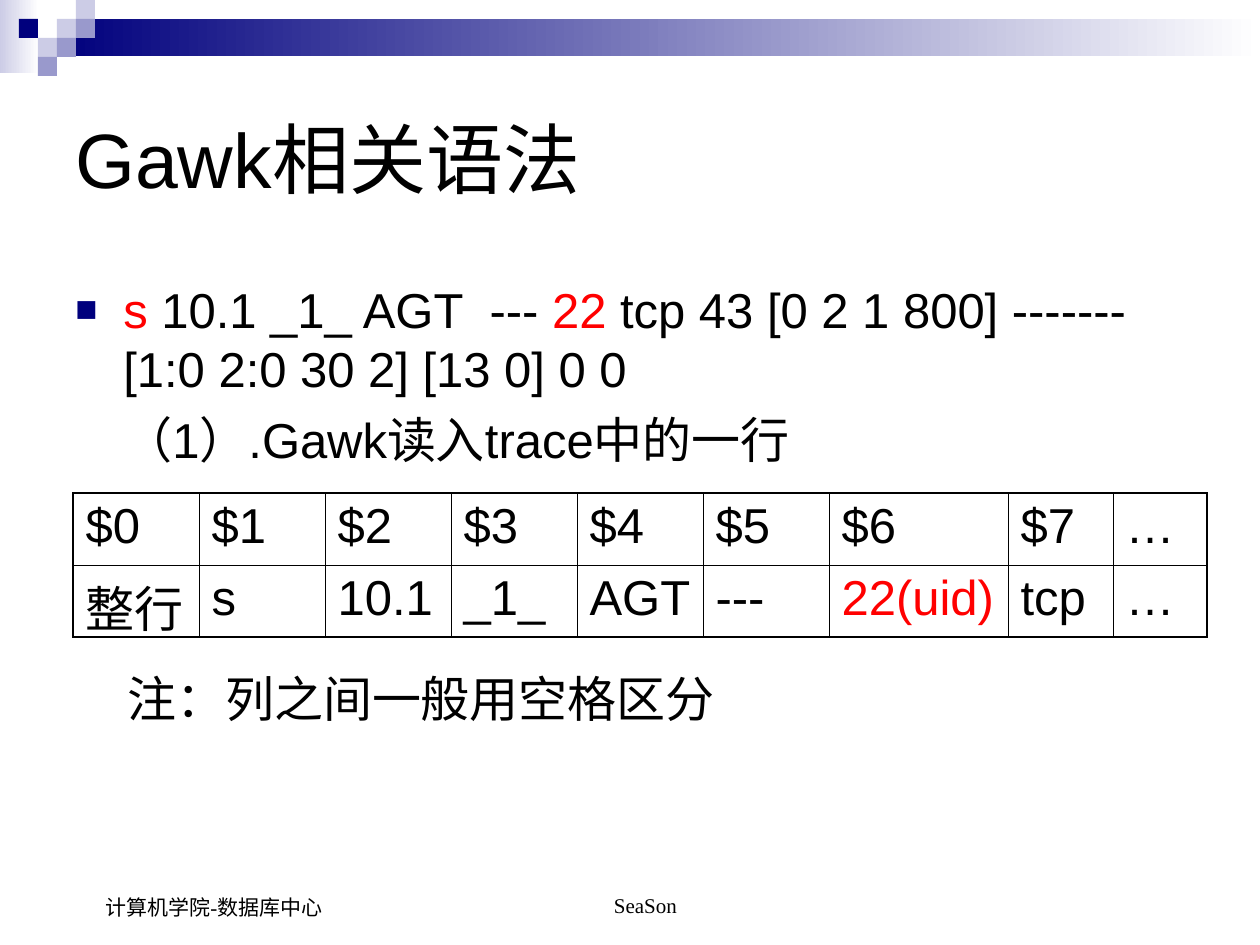
from lxml import etree
from pptx import Presentation
from pptx import util as u
from pptx.dml.color import RGBColor
from pptx.enum import shapes, text
from pptx.oxml.ns import qn

HUES = {"ink": "000000", "red": "FF0000", "navy": "00007D",
        "mid": "9999CC", "pale": "CCCCE6", "white": "FFFFFF"}
SANS, SERIF = "Arial", "Times New Roman"
TILE = 19


def px(n):
    return u.Emu(round(n * 914400 / 126))


def hue(name):
    return RGBColor.from_string(HUES[name])


def add_rect(slide, box, tint, fade=False):
    rect = slide.shapes.add_shape(shapes.MSO_SHAPE.RECTANGLE, *map(px, box))
    rect.shadow.inherit = False
    rect.line.fill.background()
    if fade:
        rect.fill.gradient()
        rect.fill.gradient_angle = 0
        for stop, name in zip(rect.fill.gradient_stops, (tint, "white")):
            stop.color.rgb = hue(name)
    else:
        rect.fill.solid()
        rect.fill.fore_color.rgb = hue(tint)


def add_runs(para, runs, size, face=SANS):
    for words, tint in runs:
        run = para.add_run()
        run.text = words
        run.font.size = u.Pt(size)
        run.font.name = face
        run.font.color.rgb = hue(tint)


def indent(para, left, first=0):
    props = para._p.get_or_add_pPr()
    props.set("marL", str(px(left)))
    props.set("indent", str(px(first)))
    return props


def add_bullet(para):
    props = indent(para, 48, -48)
    tint = etree.SubElement(props, qn("a:buClr"))
    etree.SubElement(tint, qn("a:srgbClr"), val=HUES["navy"])
    etree.SubElement(props, qn("a:buSzPct"), val="75000")
    etree.SubElement(props, qn("a:buFont"), typeface=SANS)
    etree.SubElement(props, qn("a:buChar"), char="■")


def add_text(slide, box, anchor=text.MSO_ANCHOR.TOP):
    frame = slide.shapes.add_textbox(*map(px, box)).text_frame
    frame.word_wrap = True
    frame.vertical_anchor = anchor
    return frame


def add_line(slide, box, runs, size, face=SANS, left=0,
             anchor=text.MSO_ANCHOR.TOP, align=text.PP_ALIGN.LEFT):
    para = add_text(slide, box, anchor).paragraphs[0]
    para.alignment = align
    indent(para, left)
    add_runs(para, runs, size, face)
    return para


def add_edge(cell, side, width):
    line = etree.SubElement(cell._tc.get_or_add_tcPr(), qn("a:ln" + side),
                            w=str(u.Pt(width)))
    fill = etree.SubElement(line, qn("a:solidFill"))
    etree.SubElement(fill, qn("a:srgbClr"), val=HUES["ink"])


def add_grid(slide, left, top, cols, high, rows):
    grid = slide.shapes.add_table(len(rows), len(cols), px(left), px(top),
                                  px(sum(cols)), px(high * len(rows))).table
    grid.first_row = grid.horz_banding = False
    for col, wide in zip(grid.columns, cols):
        col.width = px(wide)
    for r, row in enumerate(rows):
        grid.rows[r].height = px(high)
        for c, words in enumerate(row):
            cell = grid.cell(r, c)
            outer = {"L": c == 0, "R": c == len(cols) - 1,
                     "T": r == 0, "B": r == len(rows) - 1}
            for side, edge in outer.items():
                add_edge(cell, side, 1.08 if edge else 0.45)
            cell.fill.background()
            para = cell.text_frame.paragraphs[0]
            para.space_before = u.Pt(7)
            add_runs(para, [(words, "red" if "uid" in words else "ink")], 28)


def add_banner(slide):
    add_rect(slide, (0, 0, 39, 73), "pale", True)
    add_rect(slide, (57, 19, 1203, 37), "navy", True)
    tiles = [(3, 1, "pale"), (4, 0, "pale"), (4, 1, "mid"), (2, 2, "pale"),
             (1, 1, "navy"), (3, 2, "mid"), (2, 3, "mid")]
    for col, row, tint in tiles:
        add_rect(slide, (col * TILE, row * TILE, TILE, TILE), tint)


def add_body(slide):
    frame = add_text(slide, (63, 273, 1134, 257))
    trace = frame.paragraphs[0]
    add_bullet(trace)
    add_runs(trace, [("s", "red"), (" 10.1 _1_ AGT  --- ", "ink"), ("22", "red"),
                     (" tcp 43 [0 2 1 800] ------- [1:0 2:0 30 2] [13 0] 0 0",
                      "ink")], 28)
    step = frame.add_paragraph()
    indent(step, 48)
    add_runs(step, [("（1）.Gawk读入trace中的一行", "ink")], 28)
    for para in frame.paragraphs:
        para.space_before = u.Pt(7)


def main():
    deck = Presentation()
    deck.slide_width, deck.slide_height = px(1260), px(945)
    slide = deck.slides.add_slide(deck.slide_layouts[6])
    add_banner(slide)
    add_line(slide, (63, 63, 1134, 189), [("Gawk相关语法", "ink")], 44,
             anchor=text.MSO_ANCHOR.MIDDLE)
    add_body(slide)
    heads = [f"${n}" for n in range(8)] + ["…"]
    cells = ["整行", "s", "10.1", "_1_", "AGT", "---", "22(uid)", "tcp", "…"]
    add_grid(slide, 73, 493, [126] * 6 + [179, 105, 94], 72, [heads, cells])
    note = add_line(slide, (73, 662, 1134, 136),
                    [("注：列之间一般用空格区分", "ink")], 28, left=42)
    note.space_before = u.Pt(7)
    low = text.MSO_ANCHOR.BOTTOM
    add_line(slide, (431, 861, 399, 63), [("SeaSon", "ink")], 12, SERIF, 30,
             low, text.PP_ALIGN.CENTER)
    add_line(slide, (63, 861, 294, 65), [("计算机学院-数据库中心", "ink")], 12,
             SERIF, 30, low)
    deck.save("out.pptx")


if __name__ == "__main__":
    main()
